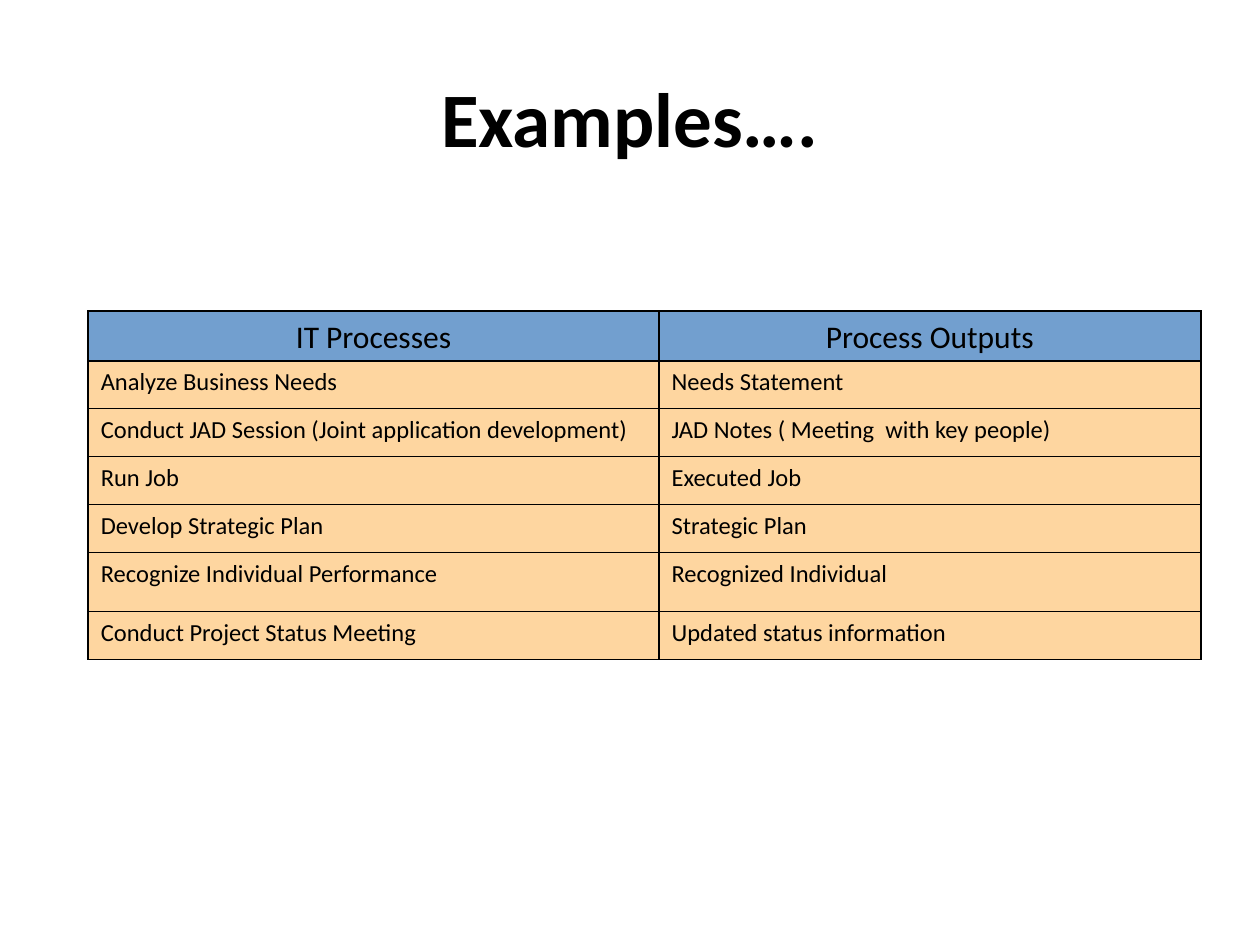
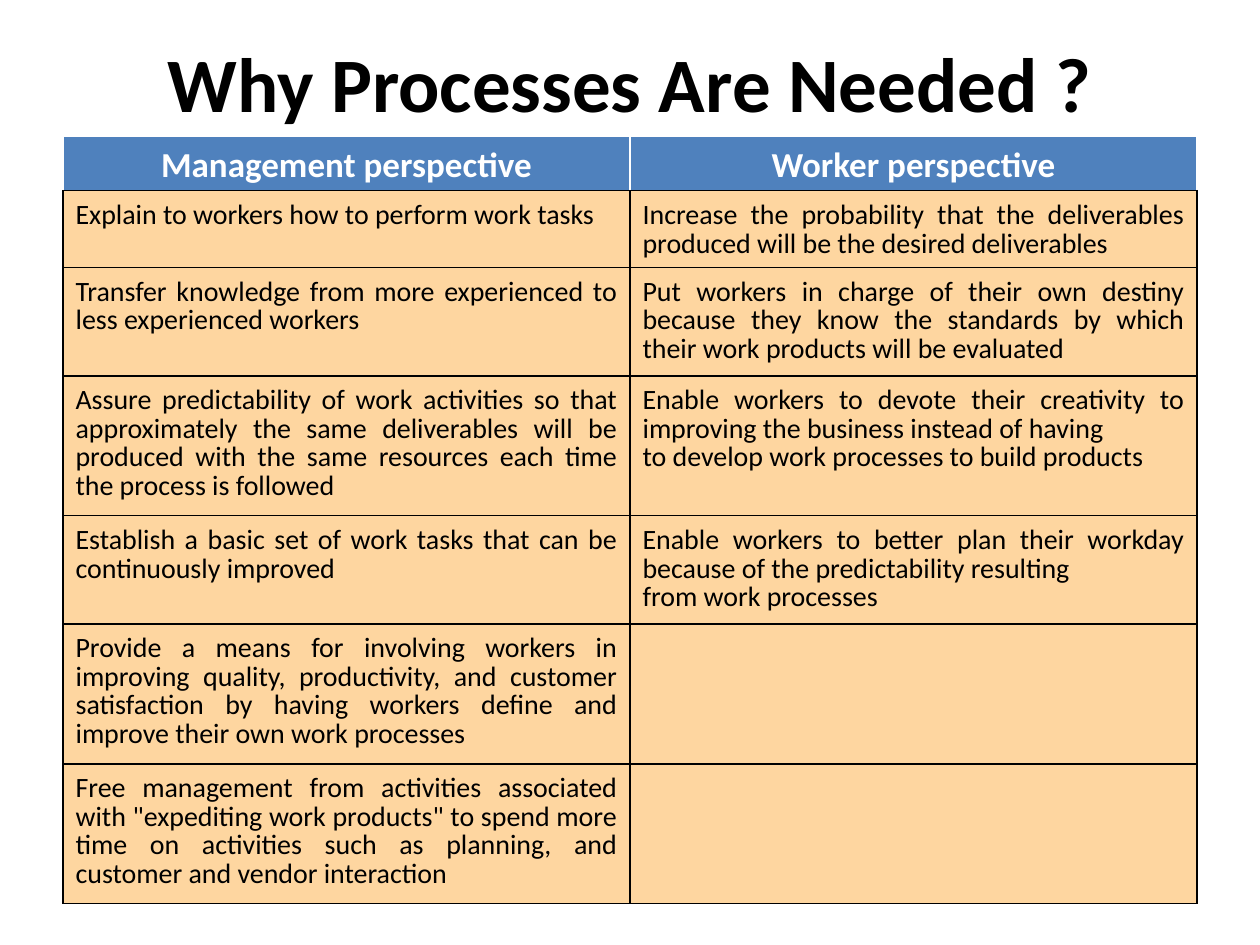
from dataclasses import dataclass

from lxml.etree import SubElement
from pptx import Presentation
from pptx.dml.color import RGBColor
from pptx.enum.text import MSO_ANCHOR, MSO_AUTO_SIZE, PP_ALIGN
from pptx.oxml.ns import qn
from pptx.slide import Slide
from pptx.table import _Cell as Cell
from pptx.text.text import TextFrame
from pptx.util import Inches, Pt

BLACK = RGBColor(0x00, 0x00, 0x00)
WHITE = RGBColor(0xFF, 0xFF, 0xFF)
SKY_BLUE = RGBColor(0x72, 0x9F, 0xCF)
STEEL_BLUE = RGBColor(0x4F, 0x81, 0xBD)
PEACH = RGBColor(0xFE, 0xD6, 0xA0)

FONT = "Calibri"
TITLE_SIZE = 44
LINE_SPACING = 0.83
BORDER_WIDTH = Pt(0.96)
TITLE_ONLY_LAYOUT = 5


@dataclass(frozen=True)
class CellStyle:
    size: int
    fill: RGBColor
    top_inset: float
    align: PP_ALIGN = PP_ALIGN.JUSTIFY
    color: RGBColor = BLACK
    bold: bool = False
    outer_border: RGBColor = BLACK


@dataclass(frozen=True)
class Comparison:
    title: str
    title_height: float
    left: float
    top: float
    column_widths: tuple[float, ...]
    row_heights: tuple[float, ...]
    header: CellStyle
    body: CellStyle
    rows: tuple[tuple[str, str], ...]


EXAMPLES = Comparison(
    title="Examples….",
    title_height=1.25,
    left=0.7,
    top=2.47,
    column_widths=(4.53, 4.3),
    row_heights=(0.39, 0.38, 0.38, 0.38, 0.38, 0.47, 0.38),
    header=CellStyle(18, SKY_BLUE, 0.09, PP_ALIGN.CENTER),
    body=CellStyle(14, PEACH, 0.08),
    rows=(
        ("IT Processes", "Process Outputs"),
        ("Analyze Business Needs", "Needs Statement"),
        ("Conduct JAD Session (Joint application development)",
         "JAD Notes ( Meeting  with key people)"),
        ("Run Job", "Executed Job"),
        ("Develop Strategic Plan", "Strategic Plan"),
        ("Recognize Individual Performance", "Recognized Individual"),
        ("Conduct Project Status Meeting", "Updated status information"),
    ),
)

REASONS = Comparison(
    title="Why Processes Are Needed ?",
    title_height=0.7,
    left=0.5,
    top=1.08,
    column_widths=(4.5, 4.5),
    row_heights=(0.42, 0.61, 0.86, 1.11, 0.86, 1.11, 1.11),
    header=CellStyle(20, STEEL_BLUE, 0.1, PP_ALIGN.CENTER, WHITE, True, WHITE),
    body=CellStyle(16, PEACH, 0.09),
    rows=(
        ("Management perspective", "Worker perspective"),
        ("Explain to workers how to perform work tasks",
         "Increase the probability that the deliverables produced will be "
         "the desired deliverables"),
        ("Transfer knowledge from more experienced to less experienced workers",
         "Put workers in charge of their own destiny because they know the "
         "standards by which their work products will be evaluated"),
        ("Assure predictability of work activities so that approximately the "
         "same deliverables will be produced with the same resources each time "
         "the process is followed",
         "Enable workers to devote their creativity to improving the business "
         "instead of having\nto develop work processes to build products"),
        ("Establish a basic set of work tasks that can be continuously improved",
         "Enable workers to better plan their workday because of the "
         "predictability resulting\nfrom work processes"),
        ("Provide a means for involving workers in improving quality, "
         "productivity, and customer satisfaction by having workers define and "
         "improve their own work processes", ""),
        ("Free management from activities associated with \"expediting work "
         "products\" to spend more time on activities such as planning, and "
         "customer and vendor interaction", ""),
    ),
)


def format_text(frame: TextFrame, size: int, color: RGBColor, bold: bool,
                align: PP_ALIGN, line_spacing: float = 1.0) -> None:
    for paragraph in frame.paragraphs:
        paragraph.alignment = align
        paragraph.line_spacing = line_spacing
        for run in paragraph.runs:
            run.font.name = FONT
            run.font.size = Pt(size)
            run.font.bold = bold
            run.font.color.rgb = color


def set_borders(cell: Cell, outer: RGBColor) -> None:
    properties = cell._tc.get_or_add_tcPr()
    for side, color in (("L", outer), ("R", outer), ("T", outer), ("B", BLACK)):
        edge = SubElement(properties, qn(f"a:ln{side}"), w=str(BORDER_WIDTH))
        fill = SubElement(edge, qn("a:solidFill"))
        SubElement(fill, qn("a:srgbClr"), val=str(color))


def fill_cell(cell: Cell, text: str, style: CellStyle) -> None:
    set_borders(cell, style.outer_border)
    cell.fill.solid()
    cell.fill.fore_color.rgb = style.fill
    cell.margin_left = cell.margin_right = Inches(0.1)
    cell.margin_top = Inches(style.top_inset)
    cell.margin_bottom = Inches(0.05)
    cell.text_frame.text = text
    format_text(cell.text_frame, style.size, style.color, style.bold,
                style.align, LINE_SPACING)


def add_title(slide: Slide, text: str, height: float) -> None:
    title = slide.shapes.title
    title.left, title.top = Inches(0.5), Inches(0.3)
    title.width, title.height = Inches(9), Inches(height)
    frame = title.text_frame
    frame.text = text
    frame.auto_size = MSO_AUTO_SIZE.NONE
    frame.vertical_anchor = MSO_ANCHOR.MIDDLE
    format_text(frame, TITLE_SIZE, BLACK, True, PP_ALIGN.CENTER)


def add_comparison_table(slide: Slide, comparison: Comparison) -> None:
    table = slide.shapes.add_table(
        len(comparison.rows), len(comparison.column_widths),
        Inches(comparison.left), Inches(comparison.top),
        Inches(sum(comparison.column_widths)),
        Inches(sum(comparison.row_heights)),
    ).table
    table.horz_banding = False
    for column, width in zip(table.columns, comparison.column_widths):
        column.width = Inches(width)
    for row, height in zip(table.rows, comparison.row_heights):
        row.height = Inches(height)
    for row_index, texts in enumerate(comparison.rows):
        style = comparison.body if row_index else comparison.header
        for column_index, text in enumerate(texts):
            fill_cell(table.cell(row_index, column_index), text, style)


def main() -> None:
    deck = Presentation()
    deck.slide_width, deck.slide_height = Inches(10), Inches(7.5)
    for comparison in (EXAMPLES, REASONS):
        slide = deck.slides.add_slide(deck.slide_layouts[TITLE_ONLY_LAYOUT])
        add_title(slide, comparison.title, comparison.title_height)
        add_comparison_table(slide, comparison)
    deck.save("out.pptx")


if __name__ == "__main__":
    main()
